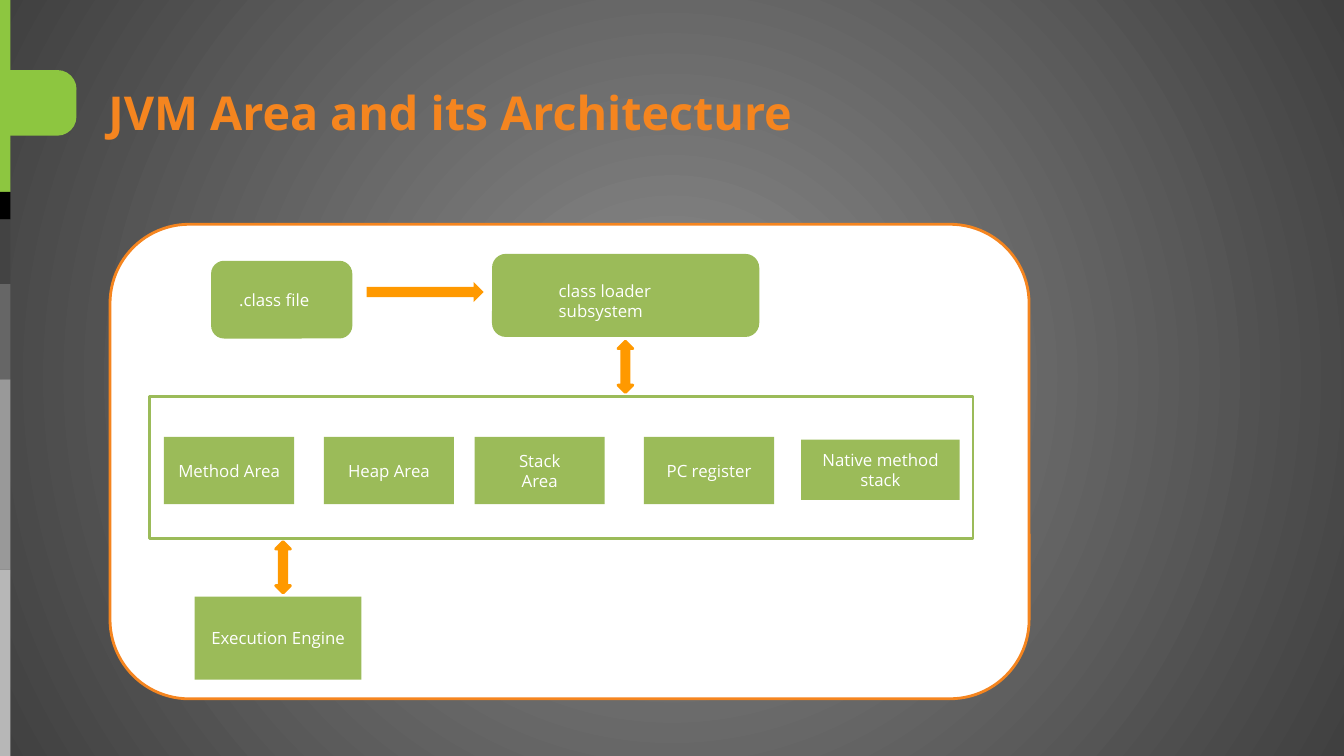
from dataclasses import dataclass
from itertools import pairwise

from lxml.etree import SubElement
from pptx import Presentation
from pptx.dml.color import RGBColor
from pptx.enum.shapes import MSO_SHAPE as Shape
from pptx.enum.text import MSO_ANCHOR as Anchor, MSO_AUTO_SIZE as AutoSize, PP_ALIGN as Align
from pptx.oxml.ns import qn
from pptx.util import Cm, Pt


@dataclass(frozen=True)
class Theme:
    font: str = "Open Sans"
    title_size: float = 25
    label_size: float = 9
    line_width: float = 1.5
    white: str = "FFFFFF"
    orange: str = "F5851F"
    arrow: str = "FF9900"
    block: str = "9BBB59"
    lime: str = "8DC640"
    glow: str = "8C8C8C"
    edge: str = "404040"
    strips: tuple = ("8DC640", "8DC640", "000000", "434343", "666666", "999999", "B7B7B7")


theme = Theme()


def write_text(shape, text, size, color, align, bold=False, spacing=None):
    frame = shape.text_frame
    frame_format = {"word_wrap": True, "vertical_anchor": Anchor.MIDDLE}
    frame_format |= {f"margin_{side}": Cm(0.25) for side in ("left", "top", "right", "bottom")}
    for name, value in frame_format.items():
        setattr(frame, name, value)
    frame.text = text
    for paragraph in frame.paragraphs:
        paragraph.alignment = align
        paragraph.line_spacing = spacing
        font = paragraph.runs[0].font
        for name, value in {"name": theme.font, "size": Pt(size), "bold": bold}.items():
            setattr(font, name, value)
        font.color.rgb = RGBColor.from_string(color)


def add_block(kind, box, fill=None, line=None, text=None, align=Align.CENTER):
    shape = slide.shapes.add_shape(kind, *map(Cm, box))
    shape.shadow.inherit = False
    if fill:
        shape.fill.solid()
        shape.fill.fore_color.rgb = RGBColor.from_string(fill)
    else:
        shape.fill.background()
    if line:
        shape.line.color.rgb = RGBColor.from_string(line)
        shape.line.width = Pt(theme.line_width)
    else:
        shape.line.fill.background()
    if text:
        write_text(shape, text, theme.label_size, theme.white, align)
    return shape


presentation = Presentation()
presentation.slide_width = Cm(25.4)
presentation.slide_height = Cm(14.29)
slide = presentation.slides.add_slide(presentation.slide_layouts[6])

background = slide.background.fill
background.gradient()
for stop, color in zip(background.gradient_stops, (theme.glow, theme.edge)):
    stop.color.rgb = RGBColor.from_string(color)
gradient = slide.element.find(".//" + qn("a:gradFill"))
gradient.remove(gradient.find(qn("a:lin")))
circle = SubElement(gradient, qn("a:path"), {"path": "circle"})
SubElement(circle, qn("a:fillToRect"), {side: "50000" for side in "ltrb"})

strip_edges = (0, 2.67, 3.63, 4.15, 5.37, 7.17, 10.77, 14.29)
for (top, bottom), color in zip(pairwise(strip_edges), theme.strips):
    add_block(Shape.RECTANGLE, (0, top, 0.2, bottom - top), color)

tab = add_block(Shape.ROUND_2_SAME_RECTANGLE, (0.1, 1.22, 1.24, 1.45), theme.lime)
tab.rotation = 90
tab.adjustments[0] = 0.29

title = slide.shapes.add_textbox(*map(Cm, (1.8, 1.17, 23.93, 1.57)))
write_text(title, "JVM Area and its Architecture", theme.title_size, theme.orange, Align.LEFT, True, 1.15)
title.text_frame.vertical_anchor = Anchor.TOP
title.text_frame.auto_size = AutoSize.SHAPE_TO_FIT_TEXT

add_block(Shape.ROUNDED_RECTANGLE, (2.08, 4.24, 17.37, 8.97), theme.white, theme.orange)

memory_areas = {"Method Area": 3.1, "Heap Area": 6.12, "Stack\nArea": 8.97, "PC register": 12.17}
for text, left in memory_areas.items():
    add_block(Shape.RECTANGLE, (left, 8.26, 2.46, 1.27), theme.block, text=text)
add_block(Shape.RECTANGLE, (15.14, 8.31, 3, 1.14), theme.block, text="Native method stack")
add_block(Shape.RECTANGLE, (3.68, 11.28, 3.15, 1.57), theme.block, text="Execution Engine")

add_block(Shape.RIGHT_ARROW, (6.93, 5.33, 2.21, 0.38), theme.arrow)
for left, top in ((11.68, 6.45), (5.21, 10.24)):
    add_block(Shape.UP_DOWN_ARROW, (left, top, 0.28, 0.97), theme.arrow, theme.arrow)

loading_steps = (
    (".class file", (3.99, 4.93, 2.67, 1.47), (4.27, 5.31, 2.11, 0.71)),
    ("class loader subsystem", (9.3, 4.8, 5.05, 1.57), (10.31, 5.05, 2.57, 1.27)),
)
for text, card, label in loading_steps:
    add_block(Shape.ROUNDED_RECTANGLE, card, theme.block)
    add_block(Shape.RECTANGLE, label, theme.block, text=text, align=Align.LEFT)

add_block(Shape.RECTANGLE, (2.82, 7.49, 15.57, 2.69), line=theme.block)

presentation.save("out.pptx")
